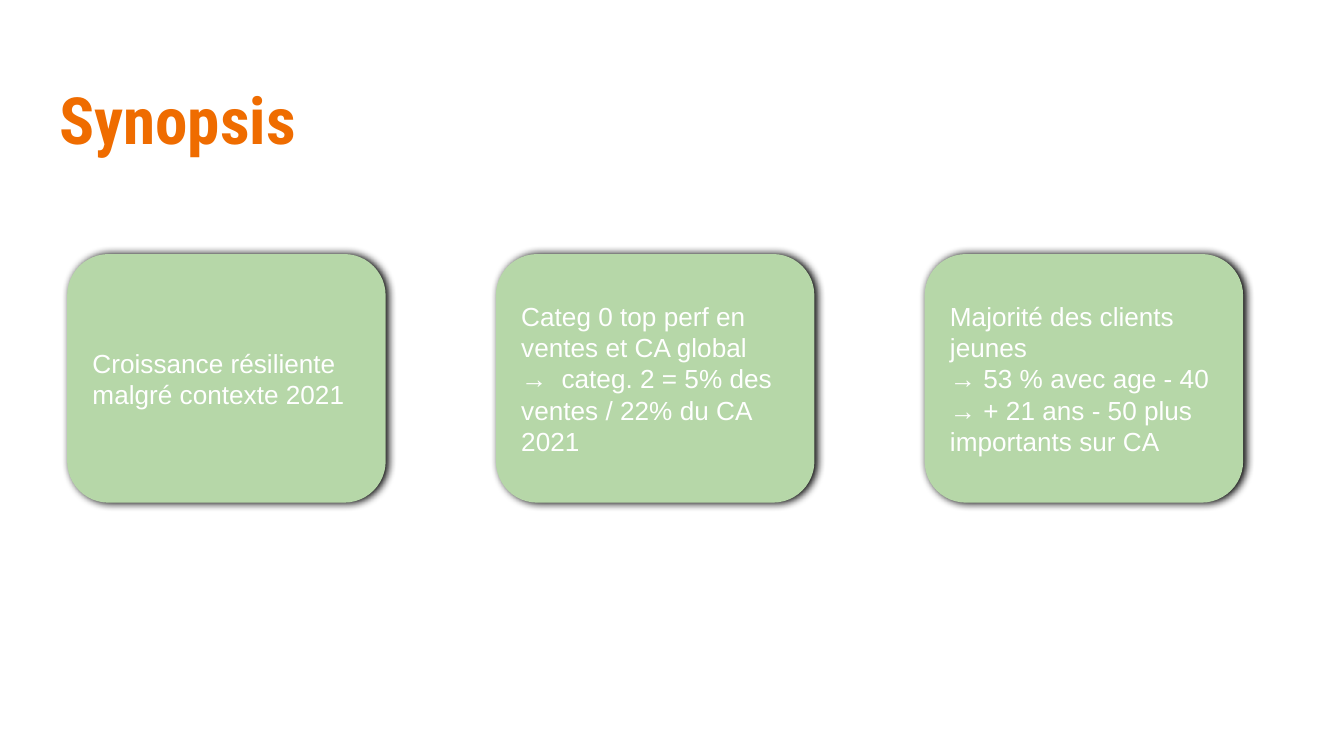
import pptx
import pptx.util
import pptx.dml.color
import pptx.enum.shapes
import pptx.enum.text
import pptx.oxml
import pptx.oxml.ns
from dataclasses import dataclass

Inches = pptx.util.Inches
Pt = pptx.util.Pt
Anchor = pptx.enum.text.MSO_ANCHOR
Align = pptx.enum.text.PP_ALIGN


@dataclass(frozen=True)
class Theme:
    head: str = "EF6C00"
    card: str = "B6D7A8"
    text: str = "FFFFFF"
    shade: str = "000000"
    head_font: str = "Roboto Condensed"
    font: str = "Arial"
    head_size: float = 34.9
    size: float = 14
    inset: float = 0.1
    tab: float = 0.3


class Deck:
    def __init__(self, theme):
        self.theme = theme
        self.file = pptx.Presentation()
        self.file.slide_width = Inches(10)
        self.file.slide_height = Inches(10 * 9 / 16)
        self.slide = self.file.slides.add_slide(self.file.slide_layouts[5])

    def frame(self, shape, anchor):
        frame = shape.text_frame
        frame.word_wrap = True
        frame.auto_size = pptx.enum.text.MSO_AUTO_SIZE.NONE
        frame.vertical_anchor = anchor
        gap = Inches(self.theme.inset)
        frame.margin_left = frame.margin_right = gap
        frame.margin_top = frame.margin_bottom = gap
        return frame

    def run(self, para, text, font, size, color, bold=False):
        para.alignment = Align.LEFT
        run = para.add_run()
        run.text = text
        run.font.name = font
        run.font.size = Pt(size)
        run.font.bold = bold
        run.font.color.rgb = pptx.dml.color.RGBColor.from_string(color)

    def title(self, text, left, top, width, height):
        shape = self.slide.shapes.title
        shape.left, shape.top = Inches(left), Inches(top)
        shape.width, shape.height = Inches(width), Inches(height)
        frame = self.frame(shape, Anchor.TOP)
        look = self.theme
        self.run(frame.paragraphs[0], text, look.head_font, look.head_size, look.head, True)

    def shadow(self, shape):
        shape.shadow.inherit = False
        effects = shape.element.spPr.find(pptx.oxml.ns.qn("a:effectLst"))
        effects.append(pptx.oxml.parse_xml(
            f'<a:outerShdw {pptx.oxml.ns.nsdecls("a")} blurRad="{Pt(4.5)}" '
            f'dist="{Pt(1.5)}" dir="0" algn="bl" rotWithShape="0">'
            f'<a:srgbClr val="{self.theme.shade}"/></a:outerShdw>'))

    def tab(self, para):
        props = para._p.get_or_add_pPr()
        props.append(pptx.oxml.parse_xml(
            f'<a:tabLst {pptx.oxml.ns.nsdecls("a")}>'
            f'<a:tab pos="{Inches(self.theme.tab)}" algn="l"/></a:tabLst>'))

    def card(self, lines, left, top, width, height):
        look = self.theme
        shape = self.slide.shapes.add_shape(
            pptx.enum.shapes.MSO_SHAPE.ROUNDED_RECTANGLE,
            Inches(left), Inches(top), Inches(width), Inches(height))
        shape.fill.solid()
        shape.fill.fore_color.rgb = pptx.dml.color.RGBColor.from_string(look.card)
        shape.line.fill.background()
        self.shadow(shape)
        frame = self.frame(shape, Anchor.MIDDLE)
        for row, line in enumerate(lines):
            para = frame.add_paragraph() if row else frame.paragraphs[0]
            self.run(para, line, look.font, look.size, look.text)
            if "\t" in line:
                self.tab(para)

    def save(self):
        self.file.save("out.pptx")


def main():
    deck = Deck(Theme())
    deck.title("Synopsis", 0.34, 0.49, 9.32, 0.77)
    cards = [
        ["Croissance résiliente malgré contexte 2021"],
        ["Categ 0 top perf en ventes et CA global",
         "→\tcateg. 2 = 5% des ventes / 22% du CA 2021"],
        ["Majorité des clients jeunes",
         "→ 53 % avec age - 40",
         "→ + 21 ans - 50 plus importants sur CA"],
    ]
    for col, lines in enumerate(cards):
        deck.card(lines, 0.5 + col * 3.19, 1.89, 2.37, 1.85)
    deck.save()


if __name__ == "__main__":
    main()
